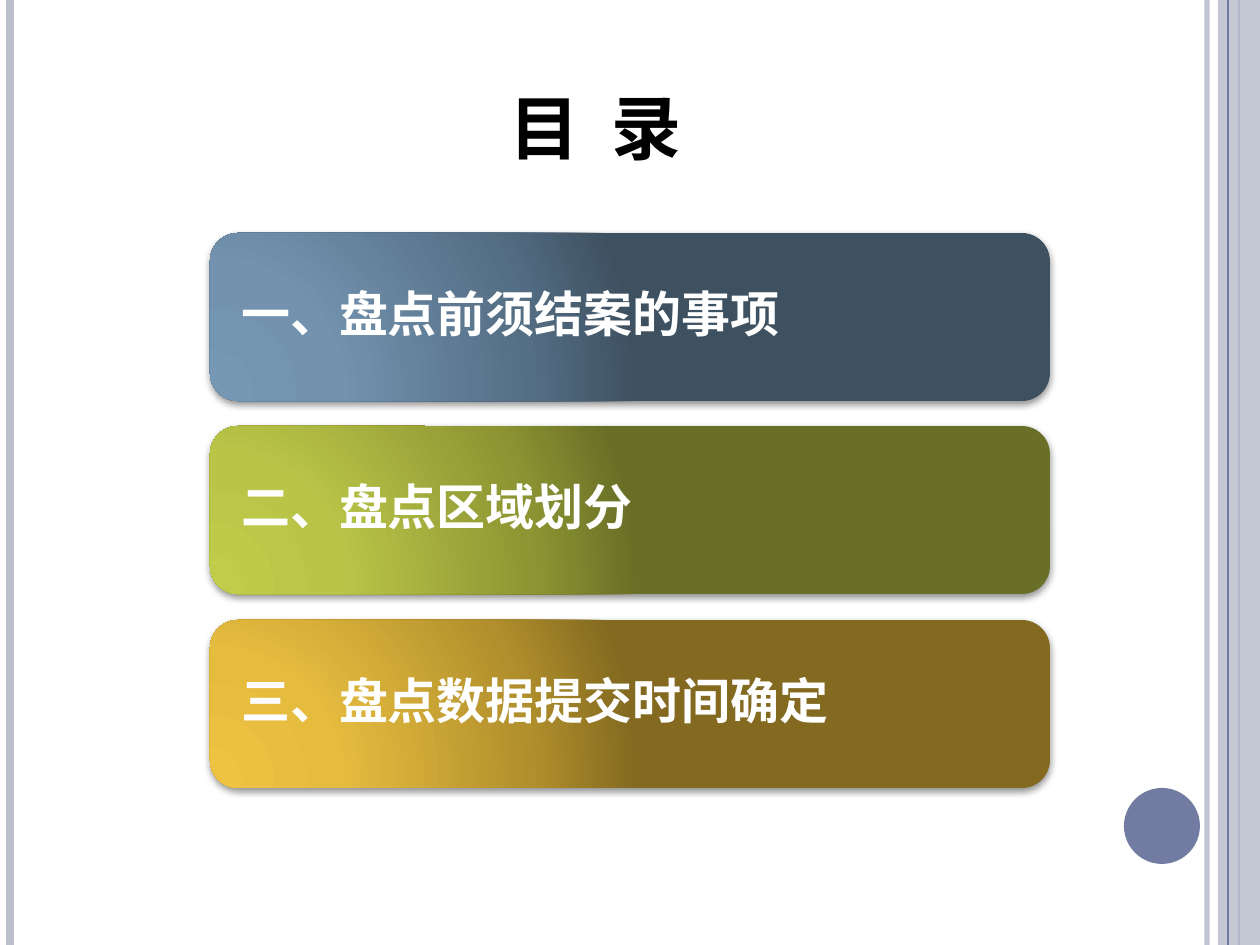
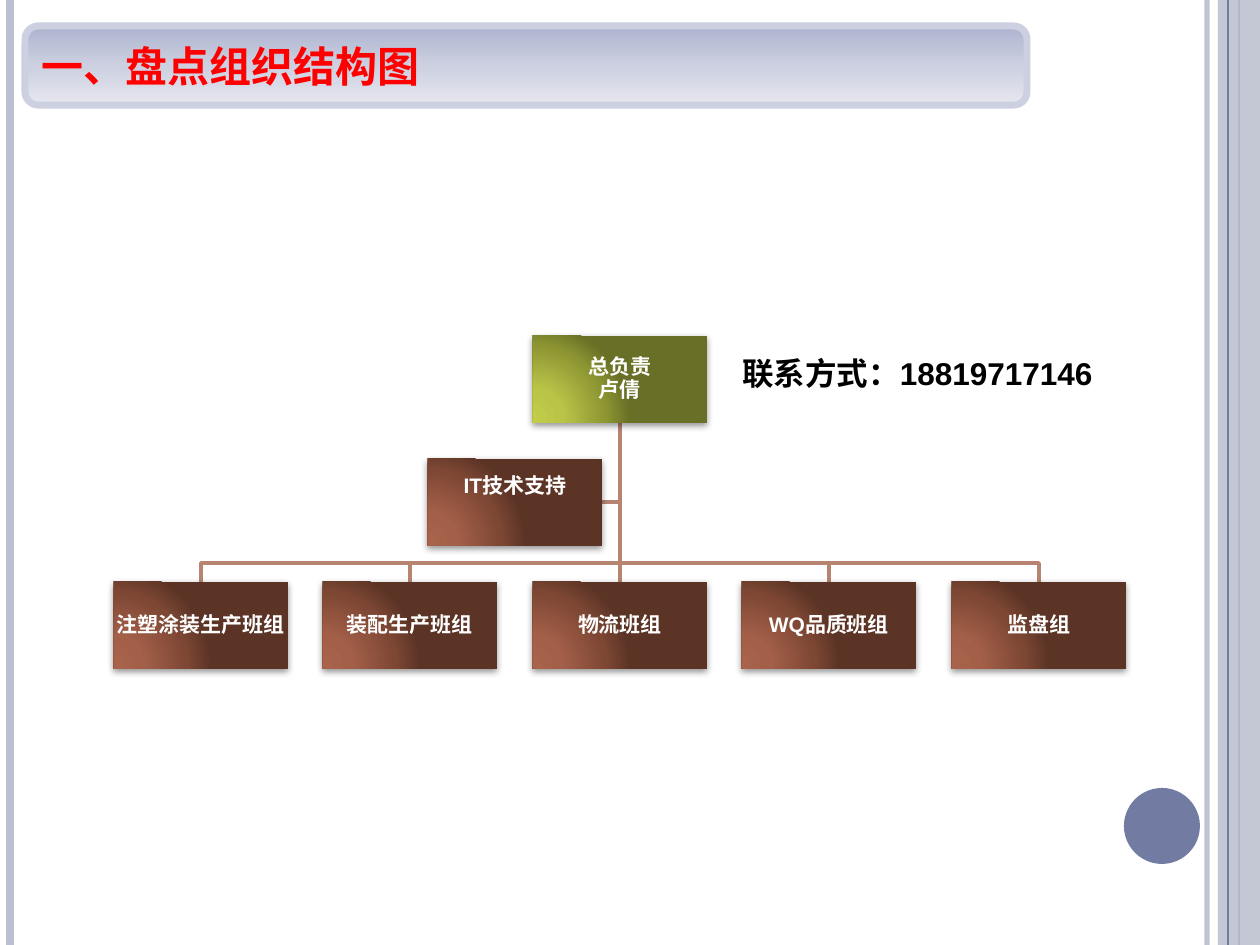
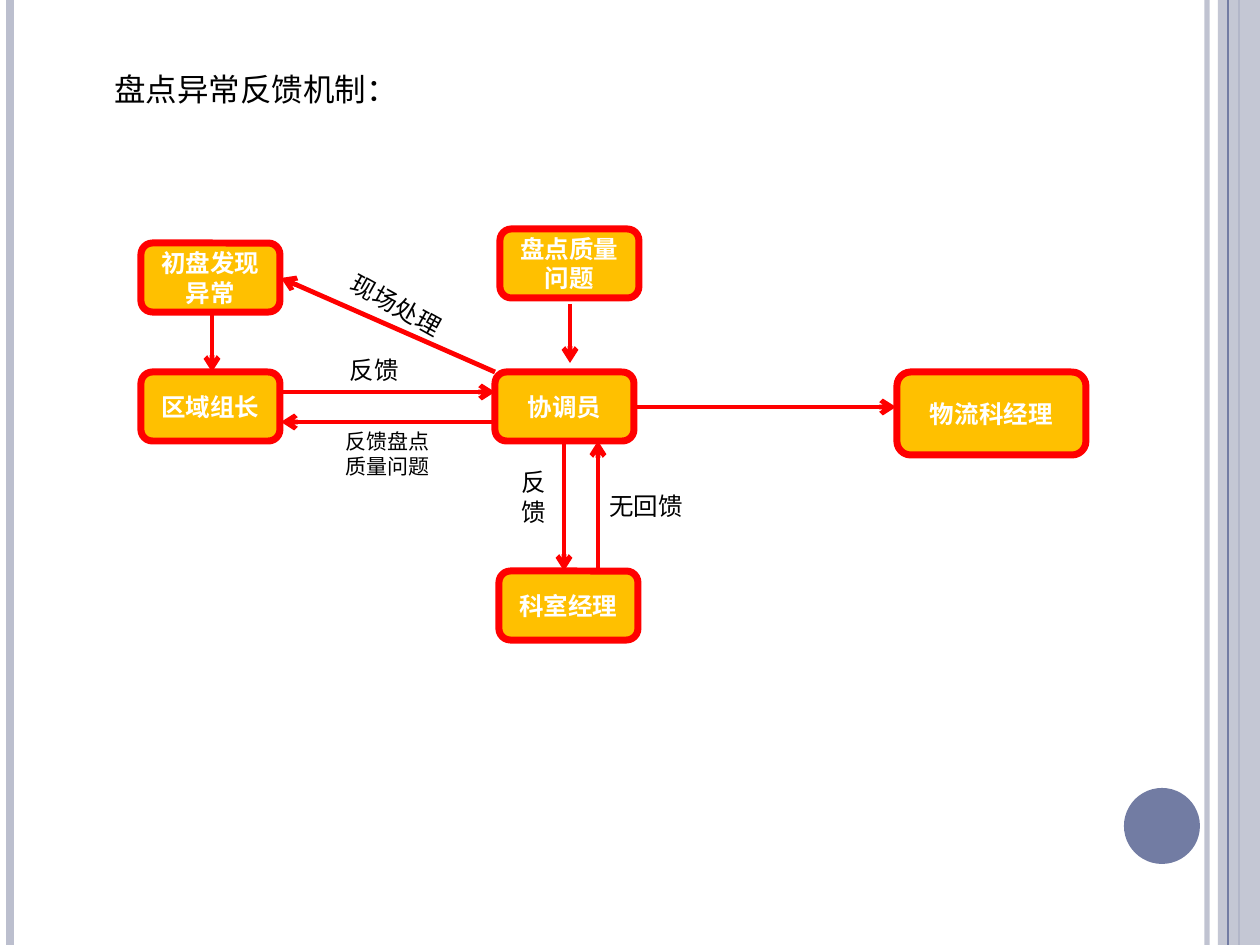
"""Build three stocktaking slides: contents, organisation chart and feedback flow."""
from lxml.etree import SubElement
from pptx import Presentation
from pptx.dml.color import RGBColor
from pptx.enum.shapes import MSO_CONNECTOR, MSO_SHAPE
from pptx.enum.text import MSO_ANCHOR, PP_ALIGN
from pptx.oxml import parse_xml
from pptx.oxml.ns import nsdecls, qn
from pptx.util import Pt

EMU_PER_PX = 914400 / 126
WIDTH, HEIGHT = 1260, 945

BLACK = RGBColor(0x00, 0x00, 0x00)
WHITE = RGBColor(0xFF, 0xFF, 0xFF)
RED = RGBColor(0xFF, 0x00, 0x00)
AMBER = RGBColor(0xFF, 0xC0, 0x00)
MIST = RGBColor(0xBC, 0xBF, 0xCE)
SLATE = RGBColor(0x72, 0x7C, 0xA3)
BANNER_EDGE = RGBColor(0xCC, 0xD0, 0xE0)
BRANCH = RGBColor(0xB8, 0x84, 0x72)


def gradient_stops(positions, *colors):
    """Pair stop positions in percent with colours."""
    return list(zip(positions, map(RGBColor.from_string, colors)))


GLOW = (0, 30, 75, 100)
BLUE_GLOW = gradient_stops(GLOW, "7698B4", "7292AE", "546E84", "3E5161")
GREEN_GLOW = gradient_stops(GLOW, "C1CC4A", "BAC548", "8E9633", "696F26")
GOLD_GLOW = gradient_stops(GLOW, "EFC342", "E6BC3F", "B18F2C", "836A20")
BROWN_GLOW = gradient_stops(GLOW, "A9634B", "A35F48", "7D4734", "5C3426")
BANNER_FADE = gradient_stops((0, 50, 100), "ADB3CF", "CCD0E0", "E6E7EF")
CORNER_LIGHT = ('<a:path path="circle"><a:fillToRect l="5000" t="100000" '
                'r="120000" b="10000"/></a:path>')
DOWNWARD = '<a:lin ang="5400000" scaled="0"/>'


def px(*lengths):
    """Turn pixels into EMU."""
    return [round(length * EMU_PER_PX) for length in lengths]


def set_alpha(element, percent):
    """Make the plain colours inside an element partly transparent."""
    for color in list(element.iter(qn("a:srgbClr"))):
        SubElement(color, qn("a:alpha"), val=str(percent * 1000))


def set_gradient(shape, stops, direction):
    """Fill a shape with a gradient."""
    shape.fill.background()
    marks = "".join(f'<a:gs pos="{position * 1000}"><a:srgbClr val="{color}"/></a:gs>'
                    for position, color in stops)
    gradient = parse_xml(f'<a:gradFill {nsdecls("a")} rotWithShape="1">'
                         f'<a:gsLst>{marks}</a:gsLst>{direction}</a:gradFill>')
    properties = shape._element.spPr
    properties.replace(properties.find(qn("a:noFill")), gradient)


def set_soft_shadow(shape):
    """Give a shape a soft shadow below it."""
    effects = shape._element.spPr.find(qn("a:effectLst"))
    shadow = SubElement(effects, qn("a:outerShdw"), blurRad=str(Pt(4)), dist=str(Pt(1.6)),
                        dir="5400000", rotWithShape="0")
    SubElement(shadow, qn("a:srgbClr"), val=str(BLACK))
    set_alpha(shadow, 42)


def write(shape, lines, size, font, color, bold=False, align=PP_ALIGN.LEFT, spacing=None):
    """Write one paragraph per line into a shape."""
    frame = shape.text_frame
    frame.word_wrap = True
    frame.text = "\n".join(lines)
    for index, paragraph in enumerate(frame.paragraphs):
        paragraph.alignment = align
        paragraph.line_spacing = spacing
        if index:
            paragraph.space_before = Pt(0)
        paragraph.font.size = Pt(size)
        paragraph.font.name = font
        paragraph.font.bold = bold
        paragraph.font.color.rgb = color


def add_block(slide, kind, box, fill=None, edge=None, weight=4):
    """Add a flat preset shape."""
    shape = slide.shapes.add_shape(kind, *px(*box))
    shape.shadow.inherit = False
    shape.text_frame.vertical_anchor = MSO_ANCHOR.MIDDLE
    if fill is not None:
        shape.fill.solid()
        shape.fill.fore_color.rgb = fill
    if edge is None:
        shape.line.fill.background()
    else:
        shape.line.color.rgb = edge
        shape.line.width = Pt(weight)
    return shape


def add_line(slide, ends, color, weight):
    """Add a straight line without a shadow."""
    line = slide.shapes.add_connector(MSO_CONNECTOR.STRAIGHT, *px(*ends))
    line.line.color.rgb = color
    line.line.width = Pt(weight)
    SubElement(line._element.spPr, qn("a:effectLst"))
    return line


def add_arrow(slide, ends):
    """Add a red line with an open arrowhead at its end."""
    arrow = add_line(slide, ends, RED, 2.75)
    SubElement(arrow.line._get_or_add_ln(), qn("a:tailEnd"), type="arrow")


def add_label(slide, box, text, size, font="Cambria", bold=False, align=PP_ALIGN.LEFT):
    """Add a black text box."""
    label = slide.shapes.add_textbox(*px(*box))
    write(label, [text], size, font, BLACK, bold, align)
    return label


def add_framed_slide(presentation):
    """Add a blank slide with the side bands and the corner disc."""
    slide = presentation.slides.add_slide(presentation.slide_layouts[6])
    inner = add_line(slide, (1207, 0, 1207, HEIGHT), MIST, 3)
    set_alpha(inner._element, 93)
    add_line(slide, (10, 0, 10, HEIGHT), MIST, 4.5)
    add_line(slide, (1239, 0, 1239, HEIGHT), SLATE, 1.5)
    band = add_block(slide, MSO_SHAPE.RECTANGLE, (1218, 0, 42, HEIGHT), MIST)
    set_alpha(band._element, 87)
    add_line(slide, (1228, 0, 1228, HEIGHT), SLATE, 0.75)
    add_block(slide, MSO_SHAPE.OVAL, (1124, 788, 76, 76), SLATE)
    return slide


def add_glow_block(slide, kind, box, stops, margin):
    """Add a shadowed block lit from its lower left corner."""
    block = add_block(slide, kind, box)
    set_gradient(block, stops, CORNER_LIGHT)
    set_soft_shadow(block)
    frame = block.text_frame
    frame.margin_left, frame.margin_top, frame.margin_right, frame.margin_bottom = px(*[margin] * 4)
    return block


def add_team(slide, left, top, lines, stops=BROWN_GLOW):
    """Add one box of the organisation chart."""
    team = add_glow_block(slide, MSO_SHAPE.RECTANGLE, (left, top, 174, 87), stops, 1)
    write(team, lines, 12, "Arial", WHITE, True, PP_ALIGN.CENTER, 0.9)
    return team


def add_branch(slide, start, *points):
    """Add an open angled line of the organisation chart."""
    builder = slide.shapes.build_freeform(*start, scale=EMU_PER_PX)
    builder.add_line_segments(points, close=False)
    branch = builder.convert_to_shape()
    branch.shadow.inherit = False
    branch.fill.background()
    branch.line.color.rgb = BRANCH
    branch.line.width = Pt(2)


def add_step(slide, left, top, text, width=139, height=69):
    """Add one box of the feedback flow."""
    step = add_block(slide, MSO_SHAPE.ROUNDED_RECTANGLE, (left, top, width, height), AMBER, RED)
    write(step, [text], 14, "Cambria", WHITE, True, PP_ALIGN.CENTER)


def build_contents(presentation):
    """Build the contents slide."""
    slide = add_framed_slide(presentation)
    chapters = (("一、盘点前须结案的事项", BLUE_GLOW), ("二、盘点区域划分", GREEN_GLOW),
                ("三、盘点数据提交时间确定", GOLD_GLOW))
    for index, (text, stops) in enumerate(chapters):
        box = (210, 233 + 387 * index // 2, 840, 168)
        card = add_glow_block(slide, MSO_SHAPE.ROUNDED_RECTANGLE, box, stops, 23)
        write(card, [text], 28, "Cambria", WHITE, True, spacing=0.9)
    title = add_label(slide, (407, 78, 377, 97), "目 录", 40, "Noto Sans CJK SC", True,
                      PP_ALIGN.CENTER)
    title.text_frame.paragraphs[0].runs[0]._r.get_or_add_rPr().set("spc", "450")


def build_organisation(presentation):
    """Build the organisation chart slide."""
    slide = add_framed_slide(presentation)
    teams = ("注塑涂装生产班组", "装配生产班组", "物流班组", "WQ品质班组", "监盘组")
    lefts = [114 + 419 * index // 2 for index in range(len(teams))]
    root, bus, row = (620, 422), 563, 582
    add_branch(slide, root, (620, 502), (602, 502))
    for left in lefts:
        center = left + 87
        add_branch(slide, root, (620, bus), (center, bus), (center, row))
    add_team(slide, 533, 336, ["总负责", "卢倩"], GREEN_GLOW)
    for left, team in zip(lefts, teams):
        add_team(slide, left, row, [team])
    support = add_team(slide, 428, 459, ["IT技术支持"])
    support.text_frame.margin_bottom = px(32)[0]
    banner = add_block(slide, MSO_SHAPE.ROUNDED_RECTANGLE, (25, 26, 1002, 79), edge=BANNER_EDGE)
    set_gradient(banner, BANNER_FADE, DOWNWARD)
    write(banner, ["一、盘点组织结构图"], 24, "Arial", RED, True)
    add_label(slide, (730, 348, 417, 50), "联系方式：18819717146", 18, "Arial", True)


def build_feedback(presentation):
    """Build the feedback flow slide."""
    slide = add_framed_slide(presentation)
    add_label(slide, (102, 64, 397, 50), "盘点异常反馈机制：", 18)
    for left, top, text in ((141, 243, "初盘发现异常"), (141, 372, "区域组长"),
                            (495, 372, "协调员"), (500, 229, "盘点质量问题"),
                            (499, 571, "科室经理")):
        add_step(slide, left, top, text)
    add_step(slide, 897, 372, "物流科经理", 189, 83)
    for ends in ((212, 312, 212, 372), (281, 392, 495, 392), (495, 422, 281, 422),
                 (570, 304, 570, 363), (495, 372, 281, 278), (564, 441, 564, 571),
                 (598, 571, 598, 441), (634, 407, 896, 407)):
        add_arrow(slide, ends)
    add_label(slide, (300, 349, 149, 43), "反馈", 14, align=PP_ALIGN.CENTER)
    on_site = add_label(slide, (321, 284, 150, 43), "现场处理", 14, align=PP_ALIGN.CENTER)
    on_site.rotation = 28.9
    add_label(slide, (331, 422, 113, 63), "反馈盘点质量问题", 12, align=PP_ALIGN.CENTER)
    add_label(slide, (597, 485, 101, 43), "无回馈", 14)
    add_label(slide, (509, 461, 45, 72), "反馈", 14)


def main():
    """Build and save the presentation."""
    presentation = Presentation()
    presentation.slide_width, presentation.slide_height = px(WIDTH, HEIGHT)
    build_contents(presentation)
    build_organisation(presentation)
    build_feedback(presentation)
    presentation.save("out.pptx")


if __name__ == "__main__":
    main()
